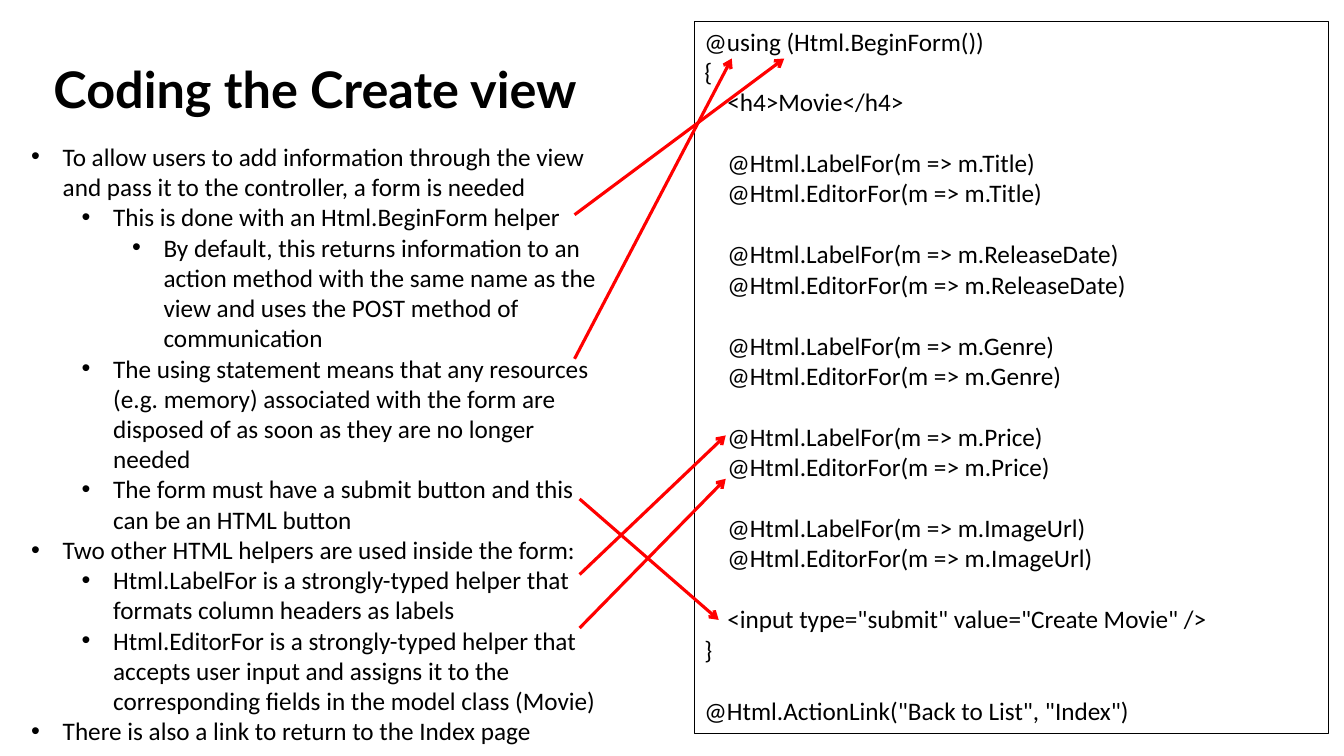
import pptx
import pptx.dml.color
import pptx.enum.shapes
import pptx.enum.text
import pptx.oxml.ns
import pptx.util
from lxml import etree

Pt = pptx.util.Pt
BLACK = "000000"
RED = "FF0000"
LINE_HEIGHT = 21.97
CODE_INDENT = 16.3

BULLETS = [
    (0, "To allow users to add information through the view and pass it to the controller, a form is needed"),
    (1, "This is done with an Html.BeginForm helper"),
    (2, "By default, this returns information to an action method with the same name as the view "
        "and uses the POST method of communication"),
    (1, "The using statement means that any resources (e.g. memory) associated with the form "
        "are disposed of as soon as they are no longer needed"),
    (1, "The form must have a submit button and this can be an HTML button"),
    (0, "Two other HTML helpers are used inside the form:"),
    (1, "Html.LabelFor is a strongly-typed helper that formats column headers as labels"),
    (1, "Html.EditorFor is a strongly-typed helper that accepts user input and assigns it to the "
        "corresponding fields in the model class (Movie)"),
    (0, "There is also a link to return to the Index page"),
]
FIELDS = ["Title", "ReleaseDate", "Genre", "Price", "ImageUrl"]
ARROWS = [
    ((414, 410.4), (518.4, 311)),
    ((410.4, 153.4), (560.2, 41.8)),
    ((414, 356.4), (513.4, 442.8)),
    ((410.4, 256.3), (522.7, 41.8)),
    ((414, 448.6), (518.4, 342)),
]


def rgb(color):
    """Turn a hex string into a colour."""
    return pptx.dml.color.RGBColor.from_string(color)


def add_element(parent, tag, **attributes):
    """Append a DrawingML element to a parent element."""
    return etree.SubElement(parent, pptx.oxml.ns.qn(tag), attributes)


def write_text(paragraph, text, font="Calibri", size=18, bold=False, color=BLACK,
               line_spacing=1.0, space_before=0):
    """Write formatted, left-aligned text into a paragraph."""
    paragraph.alignment = pptx.enum.text.PP_ALIGN.LEFT
    paragraph.line_spacing = line_spacing
    paragraph.space_before = Pt(space_before)
    paragraph.space_after = Pt(0)
    run = paragraph.add_run()
    run.text = text
    run.font.name = font
    run.font.size = Pt(size)
    run.font.bold = bold
    run.font.color.rgb = rgb(color)


def set_indent(paragraph, left, hanging=0):
    """Set the left margin and hanging indent of a paragraph."""
    properties = paragraph._p.get_or_add_pPr()
    properties.set("marL", str(Pt(left)))
    properties.set("indent", str(-Pt(hanging)))


def place(shape, left, top, width, height, anchor):
    """Position a text shape and set how its text sits."""
    shape.left, shape.top, shape.width, shape.height = Pt(left), Pt(top), Pt(width), Pt(height)
    frame = shape.text_frame
    frame.word_wrap = True
    frame.auto_size = pptx.enum.text.MSO_AUTO_SIZE.NONE
    frame.vertical_anchor = anchor


def next_paragraph(frame, index):
    """Return the first paragraph of a frame, or a new one after it."""
    return frame.add_paragraph() if index else frame.paragraphs[0]


def fill_bullets(shape, bullets):
    """Fill a placeholder with a multi-level bulleted list."""
    for index, (level, text) in enumerate(bullets):
        paragraph = next_paragraph(shape.text_frame, index)
        paragraph.level = level
        write_text(paragraph, text)
        set_indent(paragraph, 22.5 + 36 * level, 22.5)
        properties = paragraph._p.get_or_add_pPr()
        add_element(properties, "a:buFont", typeface="Arial")
        add_element(properties, "a:buChar", char="•")


def code_lines():
    """List the code as indent level, gap in lines above, and text."""
    lines = [(0, 0, "@using (Html.BeginForm())"), (0, 0, "{"), (1, 0, "<h4>Movie</h4>")]
    for field in FIELDS:
        lines.append((1, 1, f"@Html.LabelFor(m => m.{field})"))
        lines.append((1, 0, f"@Html.EditorFor(m => m.{field})"))
    lines.append((1, 1, '<input type="submit" value="Create Movie" />'))
    lines.append((0, 0, "}"))
    lines.append((0, 1, '@Html.ActionLink("Back to List", "Index")'))
    return lines


def add_code_box(slide, left, top, width, height):
    """Add the outlined box that holds the view code."""
    shape = slide.shapes.add_shape(pptx.enum.shapes.MSO_SHAPE.RECTANGLE, 0, 0, 0, 0)
    place(shape, left, top, width, height, pptx.enum.text.MSO_ANCHOR.TOP)
    shape.shadow.inherit = False
    shape.fill.background()
    shape.line.color.rgb = rgb(BLACK)
    shape.line.width = Pt(0.75)
    for index, (level, gap, text) in enumerate(code_lines()):
        paragraph = next_paragraph(shape.text_frame, index)
        write_text(paragraph, text, space_before=gap * LINE_HEIGHT)
        set_indent(paragraph, level * CODE_INDENT)


def add_arrow(slide, start, end):
    """Add a red arrow between two points."""
    points = [Pt(value) for value in start + end]
    connector = slide.shapes.add_connector(pptx.enum.shapes.MSO_CONNECTOR.STRAIGHT, *points)
    connector.line.color.rgb = rgb(RED)
    connector.line.width = Pt(2.25)
    add_element(connector.line._get_or_add_ln(), "a:tailEnd", type="arrow")
    add_element(connector._element.spPr, "a:effectLst")


def main():
    """Build the slide and save it."""
    presentation = pptx.Presentation()
    presentation.slide_width, presentation.slide_height = Pt(960), Pt(540)
    slide = presentation.slides.add_slide(presentation.slide_layouts[1])
    title, body = slide.placeholders
    place(title, 31, 13.7, 863.3, 104.4, pptx.enum.text.MSO_ANCHOR.MIDDLE)
    write_text(title.text_frame.paragraphs[0], "Coding the Create view",
               font="Lato", size=36, bold=True, line_spacing=0.9)
    place(body, 15.1, 97.2, 421.9, 487.4, pptx.enum.text.MSO_ANCHOR.TOP)
    fill_bullets(body, BULLETS)
    add_code_box(slide, 496.1, 15.1, 452.9, 509)
    for start, end in ARROWS:
        add_arrow(slide, start, end)
    presentation.save("out.pptx")


if __name__ == "__main__":
    main()
